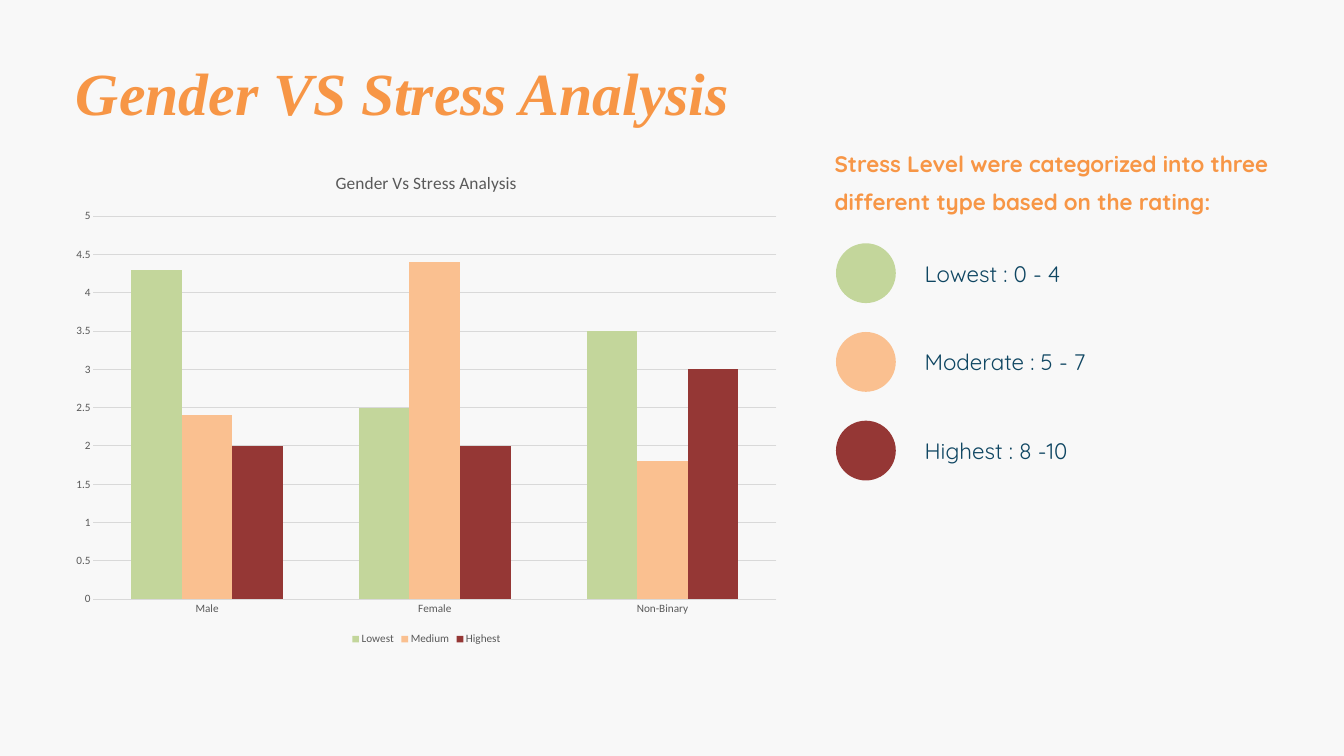
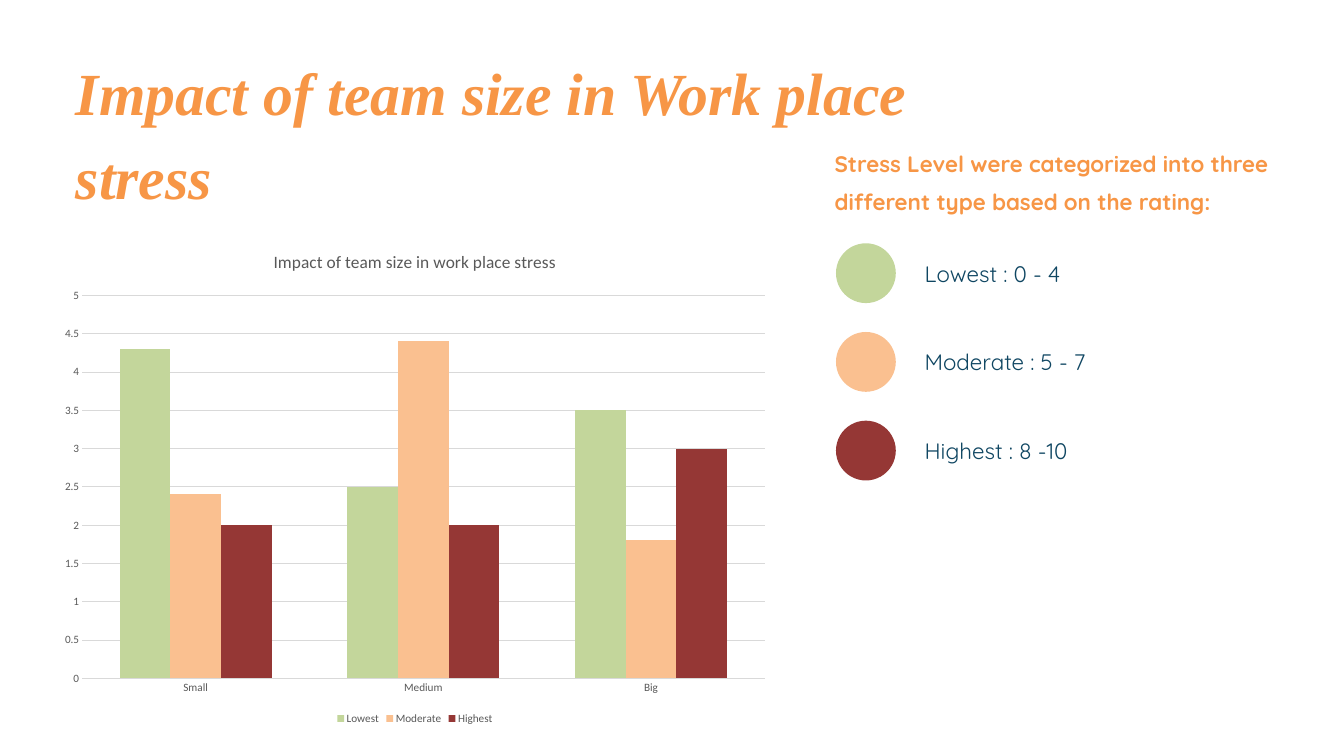
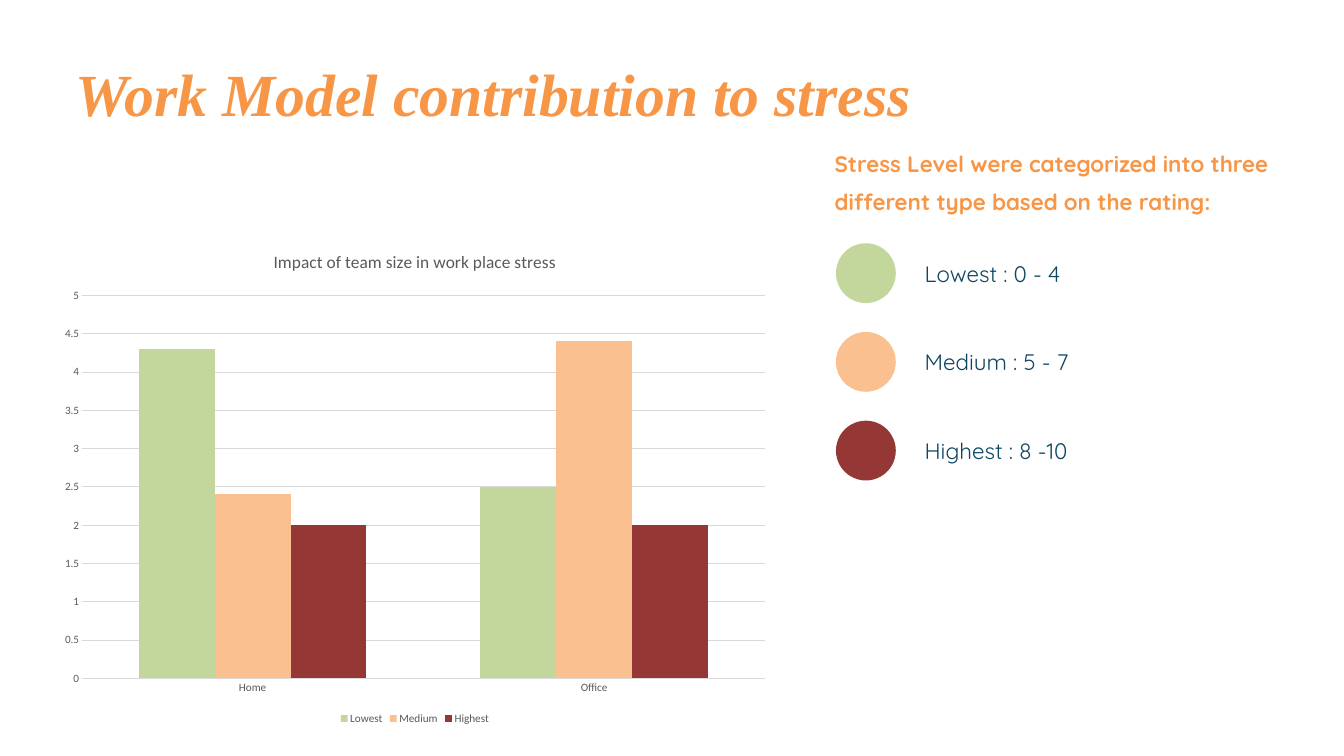
"""Build three slides on workplace stress, each with a column chart and a rating key."""
from pptx import Presentation
from pptx.chart.data import CategoryChartData
from pptx.dml.color import RGBColor
from pptx.enum.chart import XL_CHART_TYPE, XL_LEGEND_POSITION, XL_TICK_MARK
from pptx.enum.shapes import MSO_SHAPE
from pptx.util import Inches, Pt

ORANGE = RGBColor(0xF7, 0x96, 0x46)
NAVY = RGBColor(0x0F, 0x46, 0x62)
GREEN = RGBColor(0xC3, 0xD6, 0x9B)
PEACH = RGBColor(0xFA, 0xC0, 0x90)
MAROON = RGBColor(0x95, 0x37, 0x35)
GREY = RGBColor(0x59, 0x59, 0x59)
GRID = RGBColor(0xD9, 0xD9, 0xD9)
OFF_WHITE = RGBColor(0xF8, 0xF8, 0xF8)
WHITE = RGBColor(0xFF, 0xFF, 0xFF)

LEVEL_COLORS = [GREEN, PEACH, MAROON]
RANGES = ["0 - 4", "5 - 7", "8 -10"]
LEVEL_VALUES = [(4.3, 2.5, 3.5), (2.4, 4.4, 1.8), (2, 2, 3)]
KEY_HEADING = "Stress Level were categorized into three different type based on the rating:"
KEY_TOP, KEY_STEP = 3.62, 1.32

SLIDES = [
    dict(title="Gender VS Stress Analysis", title_height=1.24, background=OFF_WHITE,
         chart_title="Gender Vs Stress Analysis", chart_at=(0.92, 2.29),
         categories=["Male", "Female", "Non-Binary"],
         series_middle="Medium", key_middle="Moderate"),
    dict(title="Impact of team size in Work place stress", title_height=2.49, background=WHITE,
         chart_title="Impact of team size in work place stress", chart_at=(0.75, 3.47),
         categories=["Small", "Medium", "Big"],
         series_middle="Moderate", key_middle="Moderate"),
    dict(title="Work Model contribution to stress", title_height=2.49, background=WHITE,
         chart_title="Impact of team size in work place stress", chart_at=(0.75, 3.47),
         categories=["Home", "Office"],
         series_middle="Medium", key_middle="Medium"),
]


def style_font(font, name, size, color, bold=False, italic=False):
    font.name, font.size, font.bold, font.italic = name, Pt(size), bold, italic
    font.color.rgb = color


def add_text(s, text, left, top, width, height, spacing, *style):
    tf = s.shapes.add_textbox(Inches(left), Inches(top), Inches(width), Inches(height)).text_frame
    tf.margin_left = tf.margin_top = tf.margin_right = tf.margin_bottom = 0
    tf.word_wrap = True
    tf.text = text
    p = tf.paragraphs[0]
    p.line_spacing = Pt(spacing)
    style_font(p.runs[0].font, *style)


prs = Presentation()
prs.slide_width, prs.slide_height = Inches(20), Inches(11.25)

for page in SLIDES:
    s = prs.slides.add_slide(prs.slide_layouts[6])
    s.background.fill.solid()
    s.background.fill.fore_color.rgb = page["background"]

    add_text(s, page["title"], 1.13, 0.66, 12.62, page["title_height"], 89.6,
             "Times New Roman", 64, ORANGE, True, True)
    add_text(s, KEY_HEADING, 12.42, 2.07, 6.46, 1.7, 40.8, "Quicksand", 24, ORANGE, True)

    key_names = ["Lowest", page["key_middle"], "Highest"]
    for i, (name, span, color) in enumerate(zip(key_names, RANGES, LEVEL_COLORS)):
        top = KEY_TOP + i * KEY_STEP
        sp = s.shapes.add_shape(MSO_SHAPE.OVAL, Inches(12.44), Inches(top),
                                Inches(0.89), Inches(0.89))
        sp.shadow.inherit = False
        sp.fill.solid()
        sp.fill.fore_color.rgb = color
        sp.line.fill.background()
        add_text(s, f"{name} : {span}", 13.76, top + 0.18, 5.13, 0.47, 33.6,
                 "Quicksand", 24, NAVY)

    data = CategoryChartData()
    data.categories = page["categories"]
    for name, values in zip(["Lowest", page["series_middle"], "Highest"], LEVEL_VALUES):
        data.add_series(name, values[:len(page["categories"])])
    left, top = page["chart_at"]
    chart = s.shapes.add_chart(XL_CHART_TYPE.COLUMN_CLUSTERED, Inches(left), Inches(top),
                               Inches(10.85), Inches(7.36), data).chart
    style_font(chart.font, "Calibri", 12, GREY)

    tf = chart.chart_title.text_frame
    tf.text = page["chart_title"]
    style_font(tf.paragraphs[0].runs[0].font, "Calibri", 18.6, GREY)
    chart.chart_title.include_in_layout = False

    chart.has_legend = True
    chart.legend.position = XL_LEGEND_POSITION.BOTTOM
    chart.legend.include_in_layout = False
    style_font(chart.legend.font, "Calibri", 12, GREY)

    for axis in (chart.category_axis, chart.value_axis):
        axis.major_tick_mark = axis.minor_tick_mark = XL_TICK_MARK.NONE
        axis.format.line.fill.background()
        style_font(axis.tick_labels.font, "Calibri", 12, GREY)
    axis = chart.value_axis
    axis.minimum_scale, axis.maximum_scale, axis.major_unit = 0, 5, 0.5
    axis.major_gridlines.format.line.color.rgb = GRID
    axis.major_gridlines.format.line.width = Pt(0.75)

    plot = chart.plots[0]
    plot.vary_by_categories = False
    plot.gap_width, plot.overlap = 150, 0
    for series, color in zip(plot.series, LEVEL_COLORS):
        series.format.fill.solid()
        series.format.fill.fore_color.rgb = color

prs.save("out.pptx")
